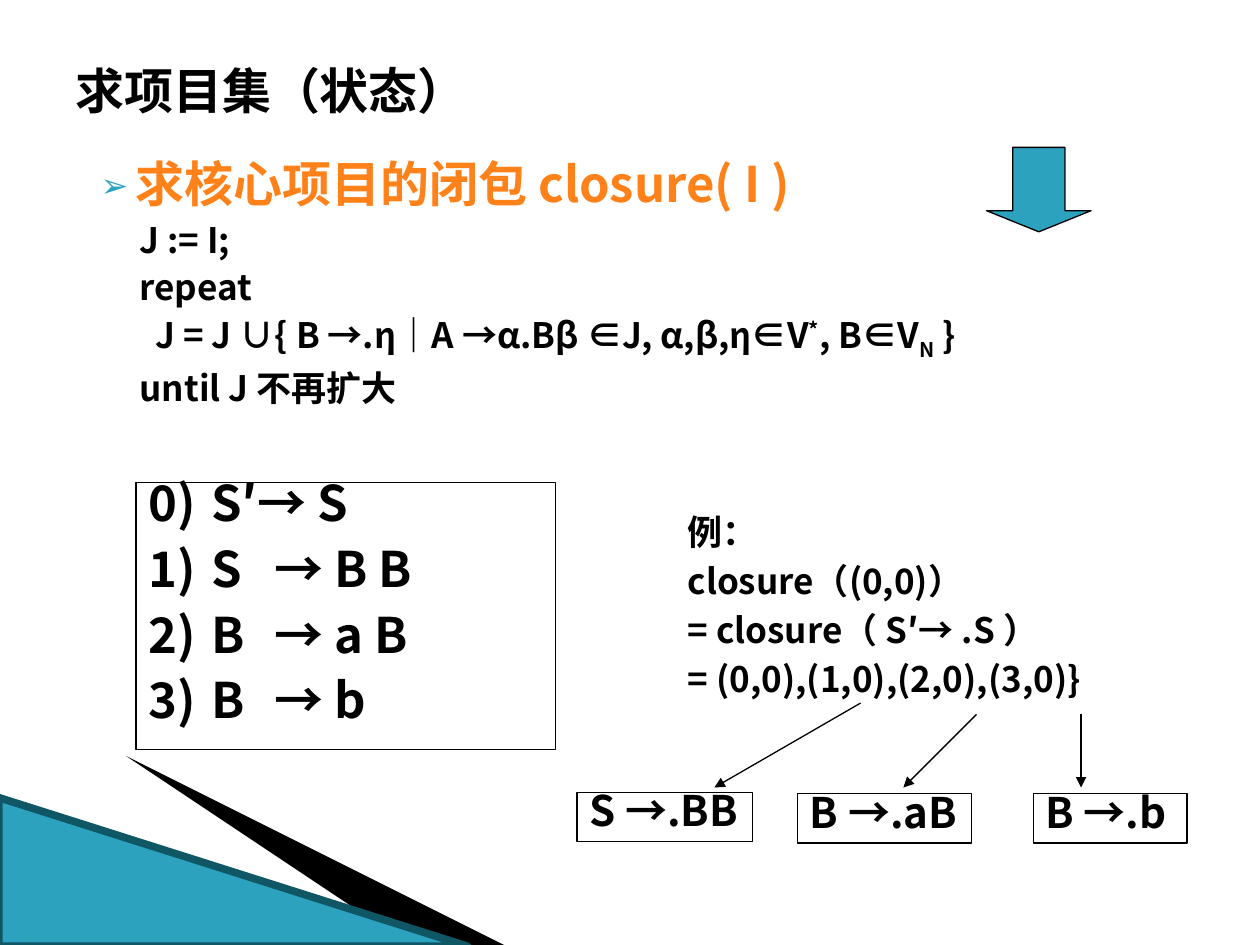
from dataclasses import dataclass

from lxml import etree
from pptx import Presentation
from pptx.dml.color import RGBColor
from pptx.enum.shapes import MSO_CONNECTOR as CONN, MSO_SHAPE as SHAPE
from pptx.enum.text import MSO_ANCHOR as ANCHOR, PP_ALIGN as ALIGN
from pptx.oxml.ns import qn
from pptx.util import Inches, Pt


@dataclass(frozen=True)
class Theme:
    font: str = "Noto Sans CJK SC"
    ink: str = "000000"
    teal: str = "2DA2BF"
    dark_teal: str = "105766"
    pale_teal: str = "A0CBDC"
    edge_teal: str = "97C5D8"
    orange: str = "FF8119"
    heading: int = 28
    item: int = 24
    body: int = 20
    hairline: float = 0.75


THEME = Theme()


def rgb(value):
    return RGBColor.from_string(value)


def sub(parent, tag, **attributes):
    return etree.SubElement(parent, qn(tag), attributes)


def style_shape(shape, fill=None, line=None, width=THEME.hairline):
    shape.shadow.inherit = False
    if fill:
        shape.fill.solid()
        shape.fill.fore_color.rgb = rgb(fill)
    else:
        shape.fill.background()
    if line:
        shape.line.color.rgb = rgb(line)
        shape.line.width = Pt(width)
    else:
        shape.line.fill.background()


def add_preset(slide, kind, box, **style):
    shape = slide.shapes.add_shape(kind, *map(Inches, box))
    style_shape(shape, **style)
    return shape


def add_wedge(slide, points, fill, opacity=None):
    builder = slide.shapes.build_freeform(*points[0], scale=Inches(1))
    builder.add_line_segments(points[1:], close=True)
    wedge = builder.convert_to_shape()
    style_shape(wedge, fill)
    if opacity:
        color = wedge.fill._xPr.find(qn("a:solidFill"))[0]
        sub(color, "a:alpha", val=str(opacity * 1000))


def add_line(slide, start, end, color=THEME.ink, width=THEME.hairline, arrow=True):
    line = slide.shapes.add_connector(CONN.STRAIGHT, *map(Inches, (*start, *end)))
    line.line.color.rgb = rgb(color)
    line.line.width = Pt(width)
    if arrow:
        sub(line.line._get_or_add_ln(), "a:tailEnd", type="triangle")
    sub(line._element.spPr, "a:effectLst")


def add_text_box(slide, box, **frame_format):
    frame = slide.shapes.add_textbox(*map(Inches, box)).text_frame
    for name, value in {"word_wrap": True, **frame_format}.items():
        setattr(frame, name, value)
    return frame


def add_run(paragraph, text, size, color=THEME.ink, baseline=0):
    run = paragraph.add_run()
    run.text = text
    font_format = {"name": THEME.font, "size": Pt(size), "bold": True}
    for name, value in font_format.items():
        setattr(run.font, name, value)
    run.font.color.rgb = rgb(color)
    sub(run.font._element, "a:ea", typeface=THEME.font)
    if baseline:
        run.font._element.set("baseline", str(baseline * 1000))


def add_paragraph(frame, first, space=0, **paragraph_format):
    paragraph = frame.paragraphs[0] if first else frame.add_paragraph()
    settings = {"alignment": ALIGN.LEFT, "space_before": Pt(0 if first else space)}
    for name, value in {**settings, **paragraph_format}.items():
        setattr(paragraph, name, value)
    return paragraph


def set_indent(paragraph, left, hanging):
    properties = paragraph._p.get_or_add_pPr()
    properties.set("marL", str(Inches(left)))
    properties.set("indent", str(Inches(-hanging)))
    return properties


def add_corner(slide):
    add_wedge(slide, [(0.55, 6.51), (5.95, 7.51), (4.56, 7.51)], THEME.pale_teal, 40)
    add_wedge(slide, [(0.53, 6.49), (4.57, 7.51), (3.72, 7.52)], THEME.ink)
    add_line(slide, (-0.01, 6.33), (3.71, 7.52), THEME.edge_teal, 0.95, arrow=False)
    add_preset(slide, SHAPE.RIGHT_TRIANGLE, (-0.01, 6.33, 3.72, 1.18),
               fill=THEME.teal, line=THEME.dark_teal, width=4.33)


def add_algorithm(slide):
    frame = add_text_box(slide, (0.58, 1.17, 9, 2.42))
    heading = add_paragraph(frame, first=True)
    properties = set_indent(heading, 0.4, 0.28)
    sub(sub(properties, "a:buClr"), "a:srgbClr", val=THEME.teal)
    sub(properties, "a:buSzPct", val="68000")
    sub(properties, "a:buFont", typeface=THEME.font)
    sub(properties, "a:buChar", char="➢")
    add_run(heading, "求核心项目的闭包 closure( I )", THEME.heading, THEME.orange)

    union = [("  J = J ∪{ B →.η｜A →α.Bβ ∈J, α,β,η∈V", 0), ("*", 30),
             (", B∈V", 0), ("N", -25), (" }", 0)]
    steps = [[("J := I;", 0)], [("repeat", 0)], union, [("until J 不再扩大", 0)]]
    for step in steps:
        paragraph = add_paragraph(frame, first=False, space=3.2)
        set_indent(paragraph, 0.68, 0.25)
        for text, baseline in step:
            add_run(paragraph, text, THEME.body, baseline=baseline)


def add_grammar(slide):
    rules = ["S′→ S", "S\t→ B B", "B\t→ a B", "B\t→ b"]
    panel = add_preset(slide, SHAPE.RECTANGLE, (1.08, 3.83, 3.33, 2.12), line=THEME.ink)
    frame = panel.text_frame
    frame.vertical_anchor = ANCHOR.TOP
    for number, rule in enumerate(rules):
        paragraph = add_paragraph(frame, number == 0, space=14, line_spacing=0.7)
        tabs = sub(set_indent(paragraph, 0, 0), "a:tabLst")
        for stop in (0.64, 1.07):
            sub(tabs, "a:tab", pos=str(Inches(stop)), algn="l")
        add_run(paragraph, f"{number})\t{rule}", THEME.heading)


def add_example(slide):
    frame = add_text_box(slide, (5.36, 4, 4.14, 1.65))
    lines = ["例：", "closure（(0,0)）", "= closure（ S′→ .S ）",
             "= (0,0),(1,0),(2,0),(3,0)}"]
    for index, text in enumerate(lines):
        add_run(add_paragraph(frame, index == 0, space=4), text, THEME.body)


def add_item(slide, box, text):
    frame = add_preset(slide, SHAPE.RECTANGLE, box, line=THEME.ink).text_frame
    frame.word_wrap = False
    frame.vertical_anchor = ANCHOR.TOP
    add_run(add_paragraph(frame, first=True, line_spacing=0.7), text, THEME.item)


def main():
    deck = Presentation()
    deck.slide_width, deck.slide_height = Inches(10), Inches(7.5)
    slide = deck.slides.add_slide(deck.slide_layouts[6])

    # Corner decoration
    add_corner(slide)

    # Title and closure algorithm
    title = add_text_box(slide, (0.5, 0.42, 8.5, 0.58), vertical_anchor=ANCHOR.MIDDLE)
    add_run(add_paragraph(title, first=True), "求项目集（状态）", THEME.heading)
    add_algorithm(slide)

    # Grammar and worked example
    add_grammar(slide)
    add_example(slide)

    # Items reached from the example
    add_item(slide, (4.58, 6.29, 1.39, 0.39), "S →.BB")
    add_item(slide, (6.33, 6.3, 1.38, 0.39), "B →.aB")
    add_item(slide, (8.2, 6.3, 1.22, 0.39), "B →.b")
    for start, tip in [((6.83, 5.58), 5.67), ((7.75, 5.67), 7.17), ((8.58, 5.67), 8.58)]:
        add_line(slide, start, (tip, 6.25))

    # Down arrow
    add_preset(slide, SHAPE.DOWN_ARROW, (7.83, 1.17, 0.83, 0.67),
               fill=THEME.teal, line=THEME.ink).adjustments[1] = 0.25

    deck.save("out.pptx")


if __name__ == "__main__":
    main()
